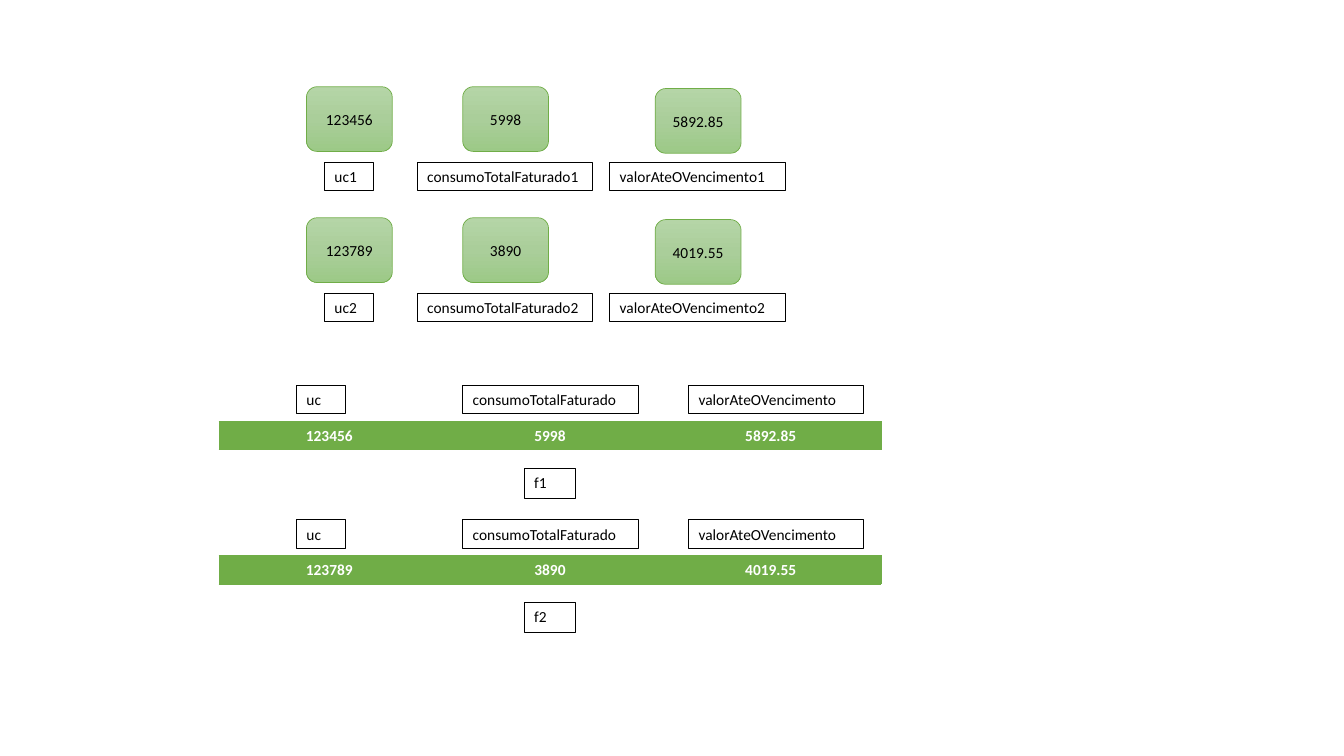
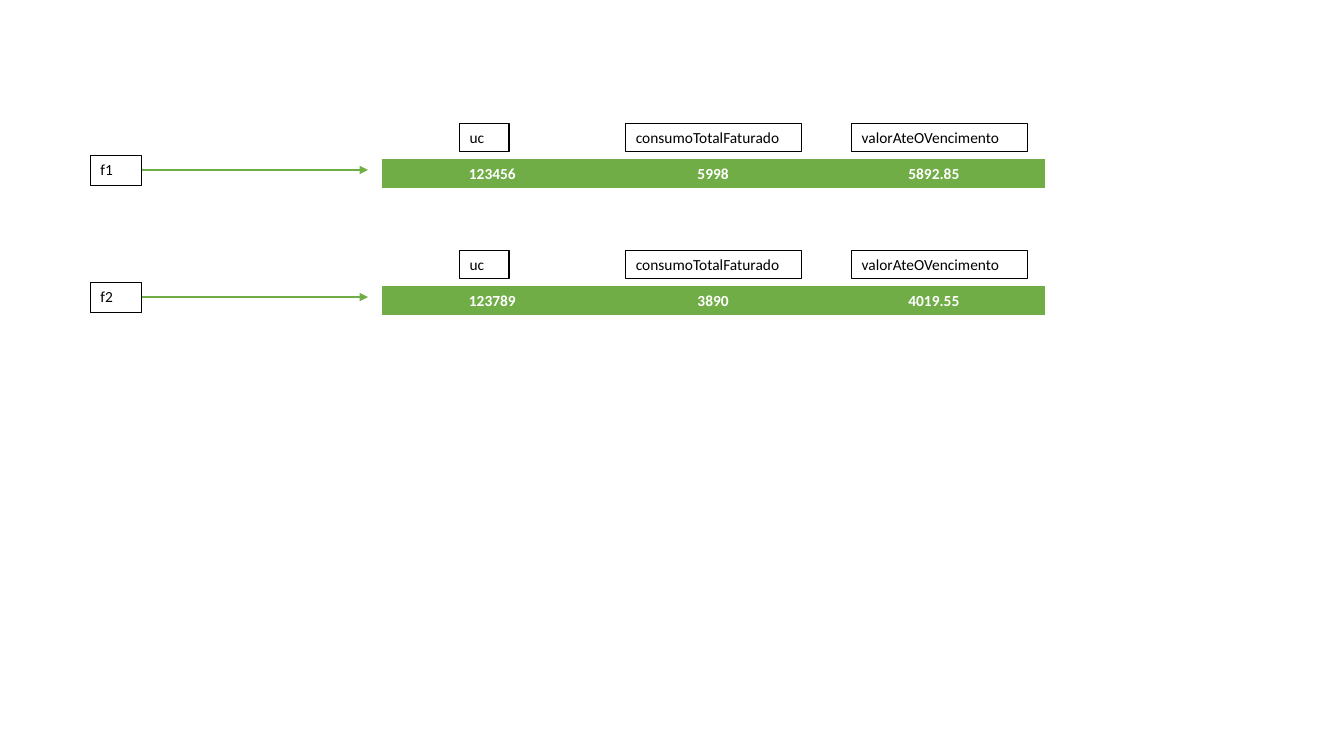
import copy
import pptx
import pptx.util
import pptx.dml.color
import pptx.enum.shapes
import pptx.enum.text
import pptx.oxml
import pptx.oxml.ns

Pt = pptx.util.Pt
RGB = pptx.dml.color.RGBColor.from_string
MSO_SHAPE = pptx.enum.shapes.MSO_SHAPE
ANCHOR = pptx.enum.text.MSO_ANCHOR
ALIGN = pptx.enum.text.PP_ALIGN
qn = pptx.oxml.ns.qn
NAMESPACE = pptx.oxml.ns.nsdecls("a")

COLORS = {
    "green": "70AD47",
    "card_top": "B5D5A7",
    "card_middle": "AACE9A",
    "card_bottom": "9CC987",
    "black": "000000",
    "white": "FFFFFF",
}
FIELDS = ["uc", "consumoTotalFaturado", "valorAteOVencimento"]
INVOICES = [("123456", "5998", "5892.85"), ("123789", "3890", "4019.55")]
LABEL_WIDTHS = [35.3, 125.3, 125.3]
LABEL_HEIGHT = 20.2
HEADER_OFFSETS = [55.4, 174.2, 335.5]
HEADER_RISE = 25.6
TAG_WIDTH, TAG_HEIGHT = 36.7, 21.6
TABLE_WIDTH, ROW_HEIGHT = 473, 20.2

presentation = pptx.Presentation()
presentation.slide_width = Pt(960)
presentation.slide_height = Pt(540)


def add_box(slide, text, left, top, width, height, card=False):
    """Add a white label box or a green gradient card."""
    preset = MSO_SHAPE.ROUNDED_RECTANGLE if card else MSO_SHAPE.RECTANGLE
    shape = slide.shapes.add_shape(preset, Pt(left), Pt(top), Pt(width), Pt(height))
    shape.shadow.inherit = False
    if card:
        shape.fill.gradient()
        shape.fill.gradient_angle = 270
        stop_list = shape._element.spPr.find(".//" + qn("a:gsLst"))
        stop_list.insert(1, copy.deepcopy(stop_list[0]))
        names = ["card_top", "card_middle", "card_bottom"]
        for stop, position, name in zip(shape.fill.gradient_stops, [0, 0.5, 1], names):
            stop.position = position
            stop.color.rgb = RGB(COLORS[name])
    else:
        shape.fill.solid()
        shape.fill.fore_color.rgb = RGB(COLORS["white"])
    shape.line.color.rgb = RGB(COLORS["green" if card else "black"])
    shape.line.width = Pt(0.5 if card else 0.75)
    shape.text_frame.text = text
    shape.text_frame.word_wrap = True
    shape.text_frame.vertical_anchor = ANCHOR.MIDDLE if card else ANCHOR.TOP
    paragraph = shape.text_frame.paragraphs[0]
    paragraph.alignment = ALIGN.CENTER if card else ALIGN.LEFT
    font = paragraph.runs[0].font
    font.name, font.size = "Calibri", Pt(11)
    font.color.rgb = RGB(COLORS["black"])


def add_record(slide, values, left, top):
    """Add a one-row table with its field names above."""
    table = slide.shapes.add_table(
        1, len(values), Pt(left), Pt(top), Pt(TABLE_WIDTH), Pt(ROW_HEIGHT)).table
    table.first_row = table.horz_banding = False
    for column, value in enumerate(values):
        cell = table.cell(0, column)
        cell.margin_left = cell.margin_right = Pt(5)
        cell.margin_top = cell.margin_bottom = Pt(0)
        cell.vertical_anchor = ANCHOR.MIDDLE
        # Green outer borders, no inner ones
        visible = {"L": column == 0, "R": column == len(values) - 1, "T": True, "B": True}
        for side, shown in visible.items():
            paint = (f'<a:solidFill><a:srgbClr val="{COLORS["green"]}"/></a:solidFill>'
                     if shown else "<a:noFill/>")
            cell._tc.get_or_add_tcPr().append(pptx.oxml.parse_xml(
                f'<a:ln{side} {NAMESPACE} w="6350">{paint}</a:ln{side}>'))
        cell.fill.solid()
        cell.fill.fore_color.rgb = RGB(COLORS["green"])
        cell.text_frame.text = value
        paragraph = cell.text_frame.paragraphs[0]
        paragraph.alignment = ALIGN.CENTER
        paragraph.line_spacing = 1.07
        paragraph.space_after = Pt(8)
        font = paragraph.runs[0].font
        font.name, font.size, font.bold = "Calibri", Pt(11), True
        font.color.rgb = RGB(COLORS["white"])
    for field, offset, width in zip(FIELDS, HEADER_OFFSETS, LABEL_WIDTHS):
        add_box(slide, field, left + offset, top - HEADER_RISE, width, LABEL_HEIGHT)


# Slide 1: separate variables, then the same values as records
slide = presentation.slides.add_slide(presentation.slide_layouts[6])
card_lefts = [218.9, 330.5, 468]
card_tops = [61.9, 61.9, 63.2]
label_lefts = [231.8, 298.1, 435.6]
for index, values in enumerate(INVOICES):
    shift = index * 93.6
    for column, value in enumerate(values):
        add_box(slide, value, card_lefts[column], card_tops[column] + shift,
                61.4, 46.3, card=True)
        add_box(slide, f"{FIELDS[column]}{index + 1}", label_lefts[column],
                115.9 + shift, LABEL_WIDTHS[column], LABEL_HEIGHT)
for index, values in enumerate(INVOICES):
    top = 301 + index * 95.9
    add_record(slide, values, 156.4, top)
    add_box(slide, f"f{index + 1}", 374.4, top + 33.4, TAG_WIDTH, TAG_HEIGHT)

# Slide 2: each record variable points to its table
slide = presentation.slides.add_slide(presentation.slide_layouts[6])
for index, values in enumerate(INVOICES):
    top = 113.8 + index * 90.8
    add_record(slide, values, 272.9, top)
    add_box(slide, f"f{index + 1}", 64.6, top - 2.9, TAG_WIDTH, TAG_HEIGHT)
    arrow = slide.shapes.add_connector(
        pptx.enum.shapes.MSO_CONNECTOR.STRAIGHT,
        Pt(101.2), Pt(top + 7.6), Pt(262.8), Pt(top + 7.6))
    arrow.line.color.rgb = RGB(COLORS["green"])
    arrow.line.width = Pt(1)
    arrow.line._get_or_add_ln().append(
        pptx.oxml.parse_xml(f'<a:tailEnd {NAMESPACE} type="triangle"/>'))
    arrow._element.spPr.append(pptx.oxml.parse_xml(f"<a:effectLst {NAMESPACE}/>"))

presentation.save("out.pptx")
